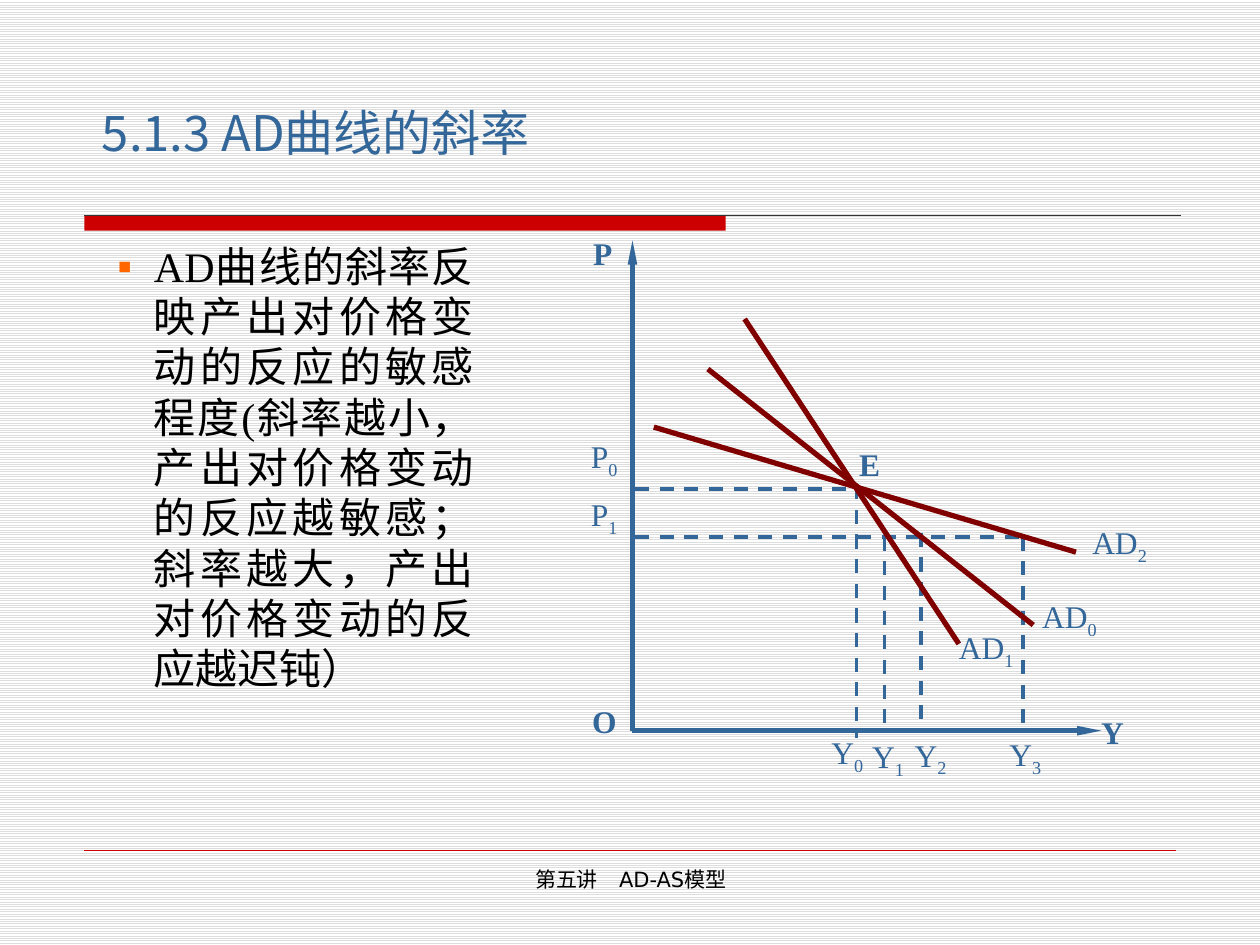
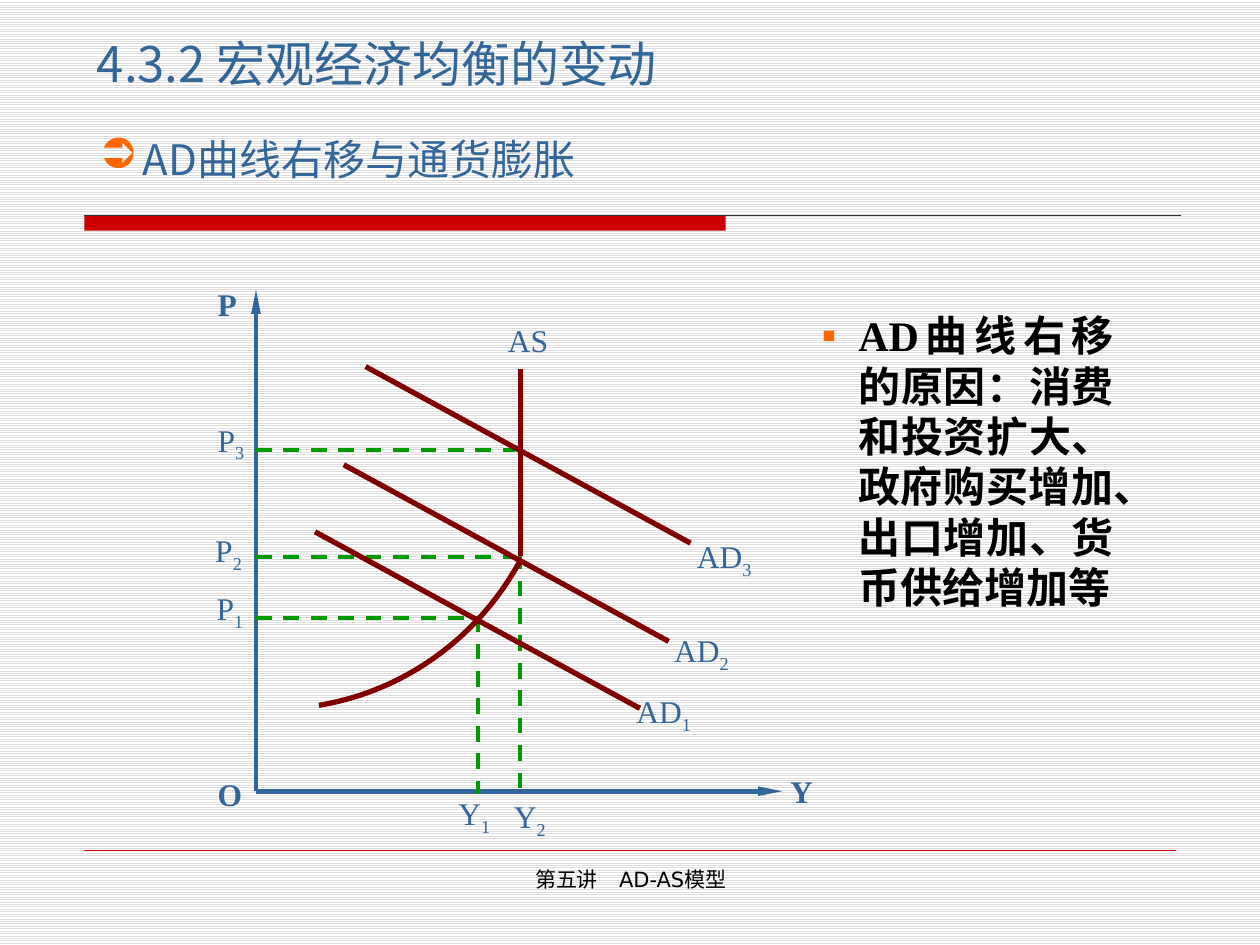
from dataclasses import dataclass

from lxml import etree
from pptx import Presentation
from pptx import util as u
from pptx.dml.color import RGBColor
from pptx.enum import dml, shapes, text
from pptx.oxml.ns import qn
from pptx.util import Cm


@dataclass(frozen=True)
class Theme:
    blue: str = "336699"
    red: str = "CC0000"
    maroon: str = "800000"
    green: str = "009900"
    orange: str = "FF6600"
    black: str = "000000"
    rule: str = "333333"
    shadow: str = "B2B2B2"
    stripe: str = "DDDDDD"
    white: str = "FFFFFF"
    cjk: str = "Noto Sans CJK SC"
    serif: str = "Times New Roman"
    sans: str = "DejaVu Sans"
    title_size: int = 28
    body_size: int = 24
    body_leading: float = 28.75
    label_size: int = 18
    footer_size: int = 12
    axis_width: float = 2.75
    curve_width: float = 3


THEME = Theme()
FOOTER = "第五讲　AD-AS模型"


def rgb(color):
    return RGBColor.from_string(color)


def place(shape, left, top, width, height):
    shape.left, shape.top = Cm(left), Cm(top)
    shape.width, shape.height = Cm(width), Cm(height)


def set_font(paragraph, name, size, color, bold=False):
    """Format the whole paragraph, East Asian text included."""
    font = paragraph.font
    font.name, font.size, font.bold = name, u.Pt(size), bold
    font.color.rgb = rgb(color)
    properties = paragraph._p.pPr.find(qn("a:defRPr"))
    etree.SubElement(properties, qn("a:ea"), typeface=THEME.cjk)
    return properties


def set_bullet(paragraph, character, indent):
    """Add an orange bullet; call before set_font to keep the XML order."""
    properties = paragraph._p.get_or_add_pPr()
    properties.set("marL", str(Cm(indent)))
    properties.set("indent", str(-Cm(indent)))
    color = etree.SubElement(properties, qn("a:buClr"))
    etree.SubElement(color, qn("a:srgbClr"), val=THEME.orange)
    etree.SubElement(properties, qn("a:buChar"), char=character)


def set_frame(shape, inset=None, anchor=text.MSO_ANCHOR.TOP):
    frame = shape.text_frame
    frame.word_wrap = True
    frame.auto_size = text.MSO_AUTO_SIZE.NONE
    frame.vertical_anchor = anchor
    if inset is not None:
        frame.margin_left = frame.margin_right = Cm(inset)
        frame.margin_top = frame.margin_bottom = 0
    return frame.paragraphs[0]


def add_line(parent, start, end, color, width, dashed=False, arrow=False):
    connector = parent.add_connector(
        shapes.MSO_CONNECTOR.STRAIGHT, *map(Cm, (*start, *end)))
    line = connector.line
    line.color.rgb, line.width = rgb(color), u.Pt(width)
    if dashed:
        line.dash_style = dml.MSO_LINE.DASH
    properties = connector.element.spPr
    if arrow:
        etree.SubElement(properties.find(qn("a:ln")), qn("a:tailEnd"),
                         type="triangle", w="sm", len="lg")
    etree.SubElement(properties, qn("a:effectLst"))
    return connector


def add_text_box(parent, box, inset=None, anchor=text.MSO_ANCHOR.TOP):
    return set_frame(parent.add_textbox(*map(Cm, box)), inset, anchor)


def add_title(slide, wording, box):
    title = slide.shapes.title
    place(title, *box)
    paragraph = set_frame(title, anchor=text.MSO_ANCHOR.MIDDLE)
    paragraph.text = wording
    paragraph.alignment = text.PP_ALIGN.LEFT
    paragraph.line_spacing = 0.9
    properties = set_font(paragraph, THEME.cjk, THEME.title_size, THEME.blue)
    effects = etree.Element(qn("a:effectLst"))
    shadow = etree.SubElement(effects, qn("a:outerShdw"),
                              dist=str(Cm(0.07)), dir="2700000")
    etree.SubElement(shadow, qn("a:srgbClr"), val=THEME.shadow)
    properties.find(qn("a:latin")).addprevious(effects)


def add_subtitle(slide, wording, box):
    paragraph = add_text_box(slide.shapes, box, 0, text.MSO_ANCHOR.MIDDLE)
    paragraph.text = wording
    set_bullet(paragraph, "➲", 0.87)
    set_font(paragraph, THEME.cjk, THEME.body_size, THEME.blue)


def add_body(slide, wording, box, bold=False):
    body = slide.placeholders[1]
    place(body, *box)
    paragraph = set_frame(body)
    paragraph.text = wording
    paragraph.alignment = text.PP_ALIGN.JUSTIFY
    paragraph.space_before = u.Pt(0)
    paragraph.line_spacing = u.Pt(THEME.body_leading)
    set_bullet(paragraph, "▪", 0.74)
    set_font(paragraph, THEME.serif, THEME.body_size, THEME.black, bold)


def add_footer(slide):
    paragraph = add_text_box(slide.shapes, (8.69, 17.35, 8.05, 1.32))
    paragraph.text = FOOTER
    paragraph.alignment = text.PP_ALIGN.CENTER
    set_font(paragraph, THEME.sans, THEME.footer_size, THEME.black)


def add_labels(parent, size, inset, labels):
    """Write labels of one size; the part after "_" is a subscript."""
    for wording, left, top in labels:
        paragraph = add_text_box(parent, (left, top, *size), inset)
        base, _, subscript = wording.partition("_")
        paragraph.add_run().text = base
        if subscript:
            run = paragraph.add_run()
            run.text = subscript
            run._r.get_or_add_rPr().set("baseline", "-25000")
        set_font(paragraph, THEME.serif, THEME.label_size, THEME.blue,
                 bold=len(wording) == 1)


def add_axes(parent, origin, top, right):
    for tip in ((origin[0], top), (right, origin[1])):
        add_line(parent, origin, tip, THEME.blue, THEME.axis_width, arrow=True)


def add_price_guides(parent, left, guides, color, width):
    for level, right in guides:
        add_line(parent, (left, level), (right, level), color, width, dashed=True)


def add_output_guides(parent, guides, color, width):
    for output, top, bottom in guides:
        add_line(parent, (output, top), (output, bottom), color, width, dashed=True)


def add_curve(parent, start, end):
    add_line(parent, start, end, THEME.maroon, THEME.curve_width)


def add_arc(parent, controls, steps=24):
    """Draw a cubic Bezier through four control points as an open outline."""
    points = []
    for step in range(steps + 1):
        t = step / steps
        weights = ((1 - t) ** 3, 3 * t * (1 - t) ** 2, 3 * t * t * (1 - t), t ** 3)
        points.append(tuple(
            Cm(sum(weight * point[axis] for weight, point in zip(weights, controls)))
            for axis in (0, 1)))
    builder = parent.build_freeform(*points[0])
    builder.add_line_segments(points[1:], close=False)
    arc = builder.convert_to_shape()
    arc.shadow.inherit = False
    arc.fill.background()
    arc.line.color.rgb = rgb(THEME.maroon)
    arc.line.width = u.Pt(THEME.curve_width)


def style_master(presentation, slide):
    """Give the master its striped background, red band and rules."""
    master = presentation.slide_master
    fill = master.background.fill
    fill.patterned()
    fill.pattern = dml.MSO_PATTERN.LIGHT_HORIZONTAL
    fill.fore_color.rgb, fill.back_color.rgb = rgb(THEME.stripe), rgb(THEME.white)

    band = slide.shapes.add_shape(
        shapes.MSO_SHAPE.RECTANGLE, *map(Cm, (1.7, 4.34, 12.93, 0.31)))
    band.shadow.inherit = False
    band.fill.solid()
    band.fill.fore_color.rgb = rgb(THEME.red)
    band.line.fill.background()
    title_rule = add_line(slide.shapes, (1.7, 4.34), (23.8, 4.34), THEME.rule, 0.75)
    footer_rule = add_line(slide.shapes, (1.7, 17.15), (23.7, 17.15), THEME.red, 0.25)
    for shape in (band, title_rule, footer_rule):
        master.element.cSld.spTree.append(shape.element)


def draw_slope_diagram(slide):
    diagram = slide.shapes.add_group_shape().shapes
    add_axes(diagram, (12.75, 14.73), top=4.85, right=22.2)
    add_price_guides(diagram, 12.8, ((9.86, 17.2), (10.82, 20.65)), THEME.blue, 2)
    add_output_guides(diagram, (
        (17.27, 9.78, 14.88), (17.83, 10.82, 14.78),
        (18.57, 10.74, 14.73), (20.62, 10.82, 14.68)), THEME.blue, 2)
    add_curve(diagram, (14.27, 7.44), (20.83, 12.6))
    add_curve(diagram, (15.01, 6.43), (19.33, 12.98))
    add_curve(diagram, (13.18, 8.61), (21.69, 11.13))
    add_labels(diagram, (0.94, 1.65), 0.05, (("P", 11.91, 4.72), ("O", 11.89, 14.15)))
    add_labels(diagram, (0.76, 1.35), 0, (
        ("P_0", 11.91, 8.81), ("P_1", 11.91, 9.98), ("E", 17.32, 8.97)))
    add_labels(diagram, (0.76, 0.94), 0, (
        ("Y_0", 16.76, 14.78), ("Y_1", 17.58, 14.86), ("Y_2", 18.44, 14.83),
        ("Y_3", 20.35, 14.81), ("Y", 22.2, 14.38)))
    add_labels(diagram, (1.35, 1.14), 0.05, (
        ("AD_0", 20.96, 12.04), ("AD_1", 19.28, 12.67), ("AD_2", 21.97, 10.54)))


def draw_shift_diagram(slide):
    diagram = slide.shapes.add_group_shape().shapes
    add_axes(diagram, (5.16, 15.95), top=5.84, right=15.77)
    add_price_guides(diagram, 5.16, ((9.07, 10.39), (11.23, 10.39), (12.45, 9.63)),
                     THEME.green, 2.25)
    add_output_guides(diagram, ((9.63, 12.42, 16), (10.49, 11.15, 15.98)),
                      THEME.green, 2.25)
    add_arc(diagram, ((6.43, 14.22), (8.13, 13.94), (9.63, 12.88), (10.49, 11.3)))
    add_curve(diagram, (10.49, 7.44), (10.49, 11.2))
    for left, top in ((6.35, 10.72), (6.93, 9.37), (7.37, 7.39)):
        add_curve(diagram, (left, top), (left + 6.55, top + 3.56))
    add_labels(diagram, (0.94, 1.19), 0.05, (
        ("P", 4.34, 5.74), ("O", 4.34, 15.62), ("Y", 15.88, 15.56)))
    add_labels(diagram, (1.14, 1.19), 0.05, (
        ("P_1", 4.32, 11.88), ("P_2", 4.29, 10.71), ("P_3", 4.34, 8.48),
        ("Y_1", 9.19, 16), ("Y_2", 10.31, 16.07)))
    add_labels(diagram, (1.32, 1.19), 0.05, (
        ("AS", 10.19, 6.47), ("AD_1", 12.78, 13.96),
        ("AD_2", 13.54, 12.72), ("AD_3", 14, 10.82)))


def main():
    presentation = Presentation()
    presentation.slide_width, presentation.slide_height = Cm(25.4), Cm(19.05)
    layout = presentation.slide_layouts[1]

    slope = presentation.slides.add_slide(layout)
    style_master(presentation, slope)
    add_title(slope, "5.1.3 AD曲线的斜率", (1.8, 2.13, 10.21, 1.19))
    add_body(slope, "AD曲线的斜率反映产出对价格变动的反应的敏感程度(斜率越小，"
             "产出对价格变动的反应越敏感；斜率越大，产出对价格变动的反应越迟钝）",
             (2.11, 4.72, 7.7, 11.61))
    draw_slope_diagram(slope)
    add_footer(slope)

    shift = presentation.slides.add_slide(layout)
    add_title(shift, "4.3.2 宏观经济均衡的变动", (1.7, 0.74, 12.6, 1.19))
    add_subtitle(shift, "AD曲线右移与通货膨胀", (2.01, 2.69, 11.61, 1.02))
    add_body(shift, "AD曲线右移的原因：消费和投资扩大、政府购买增加、"
             "出口增加、货币供给增加等", (16.31, 6.12, 6.4, 8), bold=True)
    draw_shift_diagram(shift)
    add_footer(shift)

    presentation.save("out.pptx")


if __name__ == "__main__":
    main()
